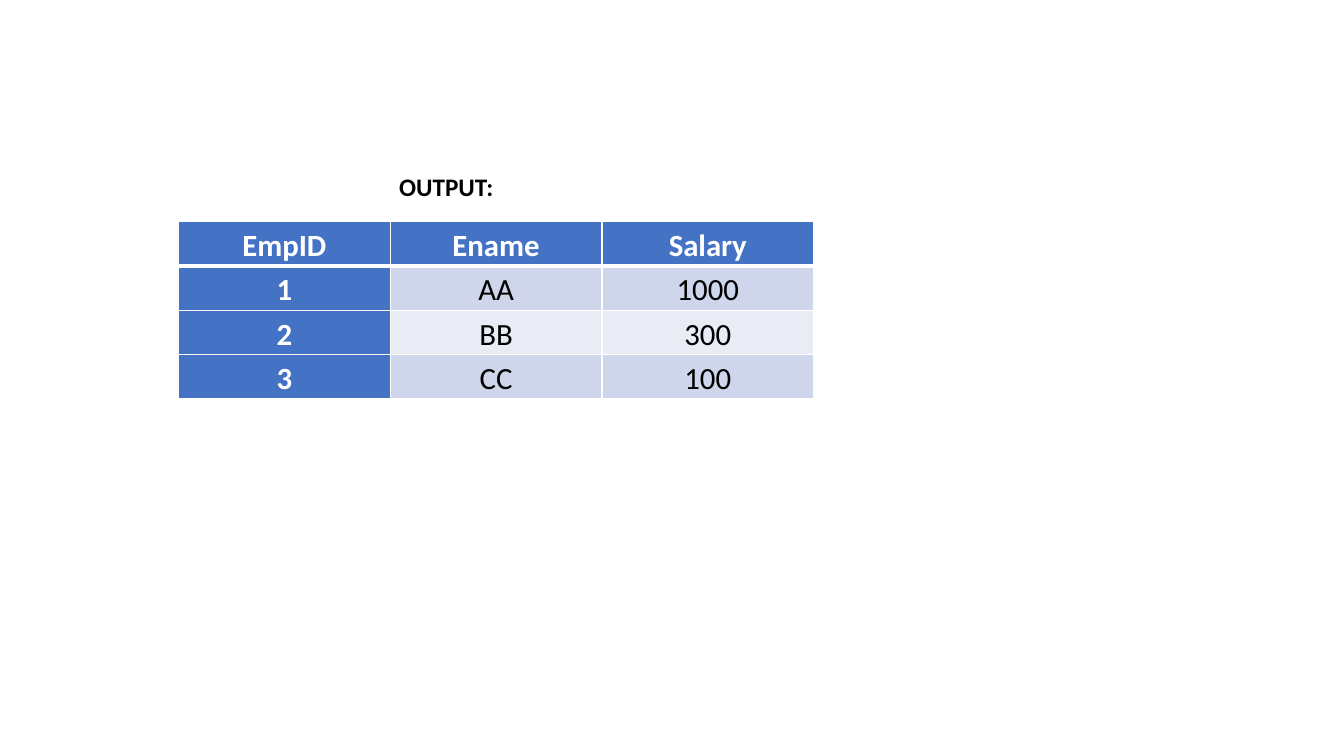
"""Build a slide showing the query output as an employee salary table."""
from lxml import etree
from pptx import Presentation
from pptx.dml.color import RGBColor
from pptx.enum.text import MSO_AUTO_SIZE, PP_ALIGN
from pptx.oxml.ns import qn
from pptx.util import Inches, Pt

HEADING = "OUTPUT:"
ROWS = [
    ("EmpID", "Ename", "Salary"),
    ("1", "AA", "1000"),
    ("2", "BB", "300"),
    ("3", "CC", "100"),
]

FONT = "Calibri"
BLACK = RGBColor(0x00, 0x00, 0x00)
WHITE = RGBColor(0xFF, 0xFF, 0xFF)
BLUE = RGBColor(0x44, 0x72, 0xC4)
BANDS = [RGBColor(0xCF, 0xD5, 0xEA), RGBColor(0xE9, 0xEB, 0xF5)]
CENTER = PP_ALIGN.CENTER
GROW = MSO_AUTO_SIZE.SHAPE_TO_FIT_TEXT

TABLE_LEFT, TABLE_TOP = 1.77, 2.2
COLUMN_WIDTH, ROW_HEIGHT = 2.1, 0.44
THIN, THICK = 1, 3
MARGINS = {
    "margin_left": Inches(0.07),
    "margin_right": Inches(0.07),
    "margin_top": 0,
    "margin_bottom": 0,
}
CELL_PARA = {"alignment": CENTER, "line_spacing": 1.15, "space_after": Pt(8)}


def apply(target, values):
    for name, value in values.items():
        setattr(target, name, value)


def write(para, text, size, color, bold):
    span = para.add_run()
    span.text = text
    apply(span.font, {"name": FONT, "size": Pt(size), "bold": bold})
    span.font.color.rgb = color


def set_borders(cell, widths):
    properties = cell._tc.get_or_add_tcPr()
    for index, (side, width) in enumerate(widths.items()):
        line = etree.Element(qn(f"a:ln{side}"), w=str(Pt(width)))
        fill = etree.SubElement(line, qn("a:solidFill"))
        etree.SubElement(fill, qn("a:srgbClr"), val=str(WHITE))
        properties.insert(index, line)


def add_heading(page):
    box = page.shapes.add_textbox(Inches(3.86), Inches(1.65), Inches(2.54), Inches(0.4))
    apply(box.text_frame, {"word_wrap": True, "auto_size": GROW})
    write(box.text_frame.paragraphs[0], HEADING, 18, BLACK, True)


def add_salary_table(page):
    row_count, column_count = len(ROWS), len(ROWS[0])
    table = page.shapes.add_table(
        row_count, column_count, Inches(TABLE_LEFT), Inches(TABLE_TOP),
        Inches(COLUMN_WIDTH * column_count), Inches(ROW_HEIGHT * row_count),
    ).table
    for column in table.columns:
        column.width = Inches(COLUMN_WIDTH)
    for row_index, values in enumerate(ROWS):
        table.rows[row_index].height = Inches(ROW_HEIGHT)
        for column_index, text in enumerate(values):
            cell = table.cell(row_index, column_index)
            is_header = row_index == 0 or column_index == 0
            apply(cell, MARGINS)
            cell.fill.solid()
            cell.fill.fore_color.rgb = BLUE if is_header else BANDS[(row_index - 1) % 2]
            set_borders(cell, {
                "L": THIN,
                "R": THIN,
                "T": THICK if row_index == 1 else THIN,
                "B": THICK if row_index == 0 else THIN,
            })
            para = cell.text_frame.paragraphs[0]
            apply(para, CELL_PARA)
            write(para, text, 22, WHITE if is_header else BLACK, is_header)


def main():
    deck = Presentation()
    apply(deck, {"slide_width": Inches(13.33), "slide_height": Inches(7.5)})
    page = deck.slides.add_slide(deck.slide_layouts[6])
    add_heading(page)
    add_salary_table(page)
    deck.save("out.pptx")


if __name__ == "__main__":
    main()
